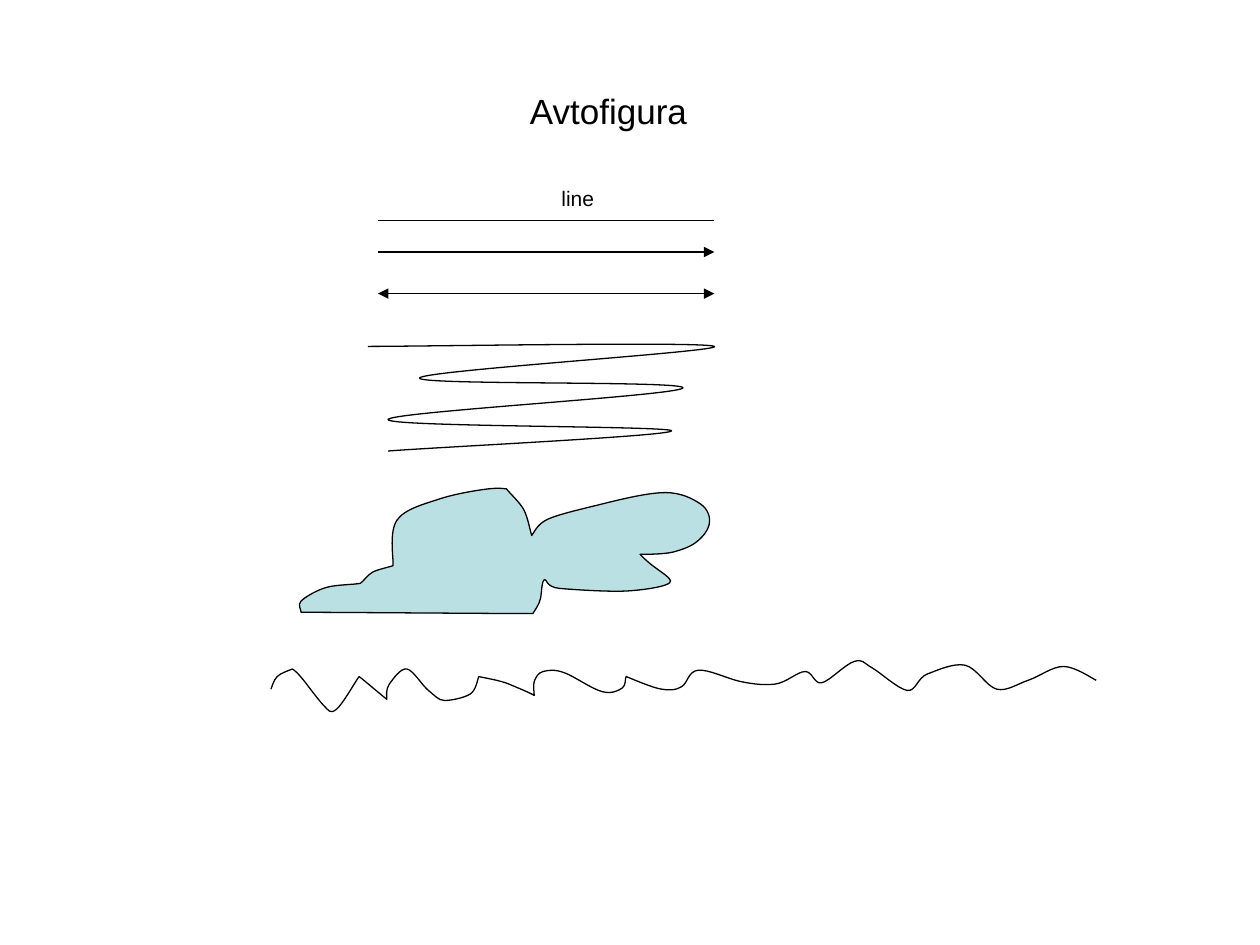
from lxml import etree
from pptx import Presentation
from pptx.dml.color import RGBColor
from pptx.enum.shapes import MSO_CONNECTOR as CONNECTOR
from pptx.enum.text import MSO_ANCHOR as ANCHOR, PP_ALIGN as ALIGN
from pptx.oxml.ns import qn
from pptx.util import Pt

PX = 9144  # EMU per px, 100 px to the inch
BLACK = "000000"
PALE_TEAL = "BBE0E3"
LINE_LEFT, LINE_RIGHT = 300, 567

# An outline is a list of smooth strokes that meet at sharp corners;
# each stroke starts where the one before it ends
SCRIBBLE = [[(292, 275), (567, 275), (333, 300), (542, 308),
             (308, 333), (533, 342), (308, 358)]]
CLOUD = [
    [(312, 447), (315, 413), (349, 396), (388, 388), (402, 388)],
    [(416, 405), (422, 425)],
    [(435, 412), (478, 400), (528, 391), (556, 400), (563, 416),
     (553, 430), (535, 438), (508, 440)],
    [(518, 449), (530, 458), (529, 464), (499, 469), (444, 467),
     (432, 460), (429, 475), (423, 487)],
    [(239, 486)],
    [(239, 477), (260, 466), (286, 463)],
    [(296, 454), (312, 449)],
]
WAVE = [
    [(215, 547), (220, 537), (232, 531)],
    [(241, 540), (257, 560), (267, 563), (285, 537)],
    [(307, 555)],
    [(309, 543), (323, 531), (340, 548), (353, 556), (373, 551), (380, 537)],
    [(404, 543), (424, 552)],
    [(424, 541), (431, 533), (448, 534), (478, 549), (494, 546), (497, 537)],
    [(525, 547), (541, 545), (554, 532), (588, 541), (615, 543), (639, 533),
     (652, 542), (678, 525), (692, 530), (720, 548), (736, 535), (766, 528),
     (791, 547), (816, 540), (844, 529), (870, 540)],
]


def color(hex_value):
    return RGBColor.from_string(hex_value)


def style_line(line):
    line.color.rgb = color(BLACK)
    line.width = Pt(0.75)


def add_text(slide, text, left, top, width, height, size=12, anchor=ANCHOR.TOP):
    box = slide.shapes.add_textbox(*(PX * n for n in (left, top, width, height)))
    frame = box.text_frame
    frame.word_wrap = True
    frame.vertical_anchor = anchor
    paragraph = frame.paragraphs[0]
    paragraph.text = text
    paragraph.alignment = ALIGN.CENTER
    paragraph.font.name = "Arial"
    paragraph.font.size = Pt(size)
    paragraph.font.color.rgb = color(BLACK)


def add_line(slide, y, arrowheads=()):
    line = slide.shapes.add_connector(
        CONNECTOR.STRAIGHT, PX * LINE_LEFT, PX * y, PX * LINE_RIGHT, PX * y)
    style_line(line.line)
    properties = line._element.spPr
    for end in arrowheads:
        etree.SubElement(properties.find(qn("a:ln")), qn(f"a:{end}"), type="triangle")
    etree.SubElement(properties, qn("a:effectLst"))


def shift(point, before, after, share):
    """Move a point along the direction between its neighbours."""
    return tuple(p + (a - b) * share for p, b, a in zip(point, before, after))


def smooth(points):
    """Return two handles and an end for each curve through the points."""
    padded = [points[0], *points, points[-1]]
    curves = []
    for before, start, end, after in zip(padded, padded[1:], padded[2:], padded[3:]):
        curves += [shift(start, before, end, 1 / 6), shift(end, start, after, -1 / 6), end]
    return curves


def add_curve(slide, strokes, fill=None):
    """Draw a smooth outline; a filled one is closed."""
    start = strokes[0][0]
    points = smooth(strokes[0])
    for stroke in strokes[1:]:
        points += smooth([points[-1], *stroke])
    builder = slide.shapes.build_freeform(*start, scale=PX)
    builder.add_line_segments(points, close=fill is not None)
    shape = builder.convert_to_shape()
    shape.shadow.inherit = False
    style_line(shape.line)
    if fill:
        shape.fill.solid()
        shape.fill.fore_color.rgb = color(fill)
    else:
        shape.fill.background()

    # Turn every three straight segments into one cubic curve
    segments = list(shape._element.iter(qn("a:lnTo")))
    for first in range(0, len(points), 3):
        curve = etree.Element(qn("a:cubicBezTo"))
        segments[first].addprevious(curve)
        for segment in segments[first:first + 3]:
            curve.append(segment[0])
            segment.getparent().remove(segment)


def main():
    presentation = Presentation()
    presentation.slide_width, presentation.slide_height = PX * 1000, PX * 750
    slide = presentation.slides.add_slide(presentation.slide_layouts[6])

    # Title and label
    add_text(slide, "Avtofigura", 58, 42, 850, 92, size=20, anchor=ANCHOR.MIDDLE)
    add_text(slide, "line", 67, 142, 783, 475)

    # Straight lines
    add_line(slide, 175)
    add_line(slide, 200, arrowheads=["tailEnd"])
    add_line(slide, 233, arrowheads=["headEnd", "tailEnd"])

    # Curved shapes
    add_curve(slide, SCRIBBLE)
    add_curve(slide, CLOUD, fill=PALE_TEAL)
    add_curve(slide, WAVE)

    presentation.save("out.pptx")


if __name__ == "__main__":
    main()
